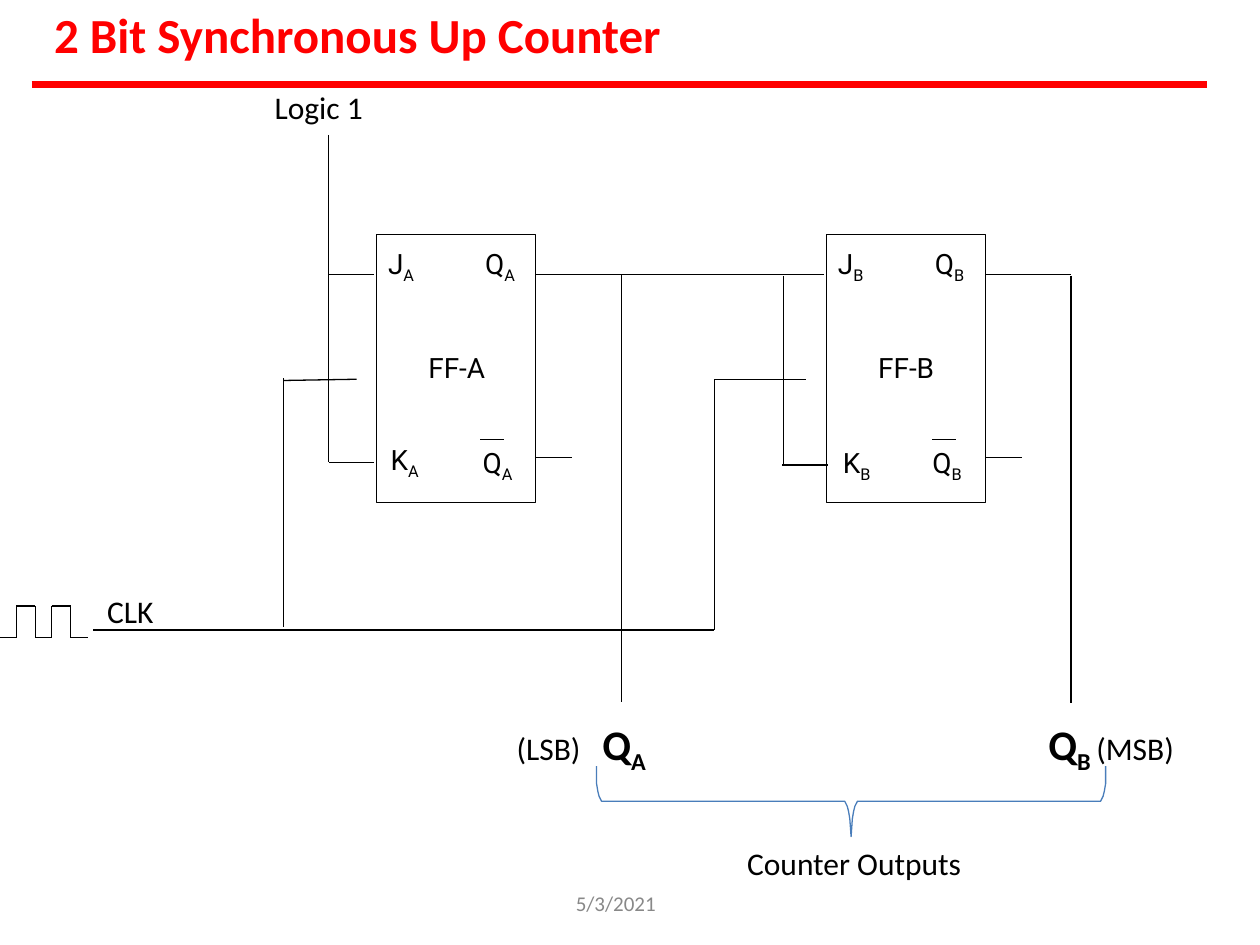
import pptx
import pptx.util
import pptx.dml.color
import pptx.enum.shapes
import pptx.oxml.ns
from lxml import etree

Inches = pptx.util.Inches
Pt = pptx.util.Pt
RGBColor = pptx.dml.color.RGBColor

RED = RGBColor(0xFF, 0x00, 0x00)
BLACK = RGBColor(0x00, 0x00, 0x00)
BLUE = RGBColor(0x49, 0x7D, 0xBA)
GREY = RGBColor(0x88, 0x88, 0x88)


def add_text(s, x, y, w, h, text, sub="", size=18, font="Calibri",
             color=BLACK, bold=False, indent=0.01, top=0.01):
    """Text box with an optional subscript; returns its paragraph."""
    box = s.shapes.add_textbox(Inches(x), Inches(y), Inches(w), Inches(h))
    tf = box.text_frame
    tf.word_wrap = True
    tf.margin_left, tf.margin_top = Inches(indent), Inches(top)
    tf.margin_right = tf.margin_bottom = 0
    p = tf.paragraphs[0]
    p.font.name, p.font.size = font, Pt(size)
    p.font.color.rgb = color
    r = p.add_run()
    r.text = text
    r.font.bold = bold
    if sub:
        r = p.add_run()
        r.text = sub
        r.font.bold = bold
        r._r.get_or_add_rPr().set("baseline", "-25000")
    return p


def add_pin(s, x, y, w, letter, sub, top=0.01):
    add_text(s, x, y, w, 0.3, letter, sub, 16, "Roboto", indent=0.03, top=top)


def add_line(s, x1, y1, x2, y2, color=BLACK, width=0.75):
    line = s.shapes.add_connector(
        pptx.enum.shapes.MSO_CONNECTOR.STRAIGHT,
        Inches(x1), Inches(y1), Inches(x2), Inches(y2))
    line.line.color.rgb = color
    line.line.width = Pt(width)
    etree.SubElement(line._element.spPr, pptx.oxml.ns.qn("a:effectLst"))


def add_flip_flop(s, x, name, k_x, k_y, bar_x):
    """Box with J, K, Q and inverted Q pins; x is its left side."""
    box = s.shapes.add_shape(
        pptx.enum.shapes.MSO_SHAPE.RECTANGLE,
        Inches(x), Inches(1.86), Inches(1.26), Inches(2.13))
    box.shadow.inherit = False
    box.fill.background()
    box.line.color.rgb = BLACK
    box.line.width = Pt(0.75)

    add_text(s, x + 0.41, 2.77, 0.46, 0.3, "FF-" + name,
             size=16, font="Roboto", indent=0)
    add_pin(s, x + 0.06, 1.95, 0.25, "J", name)
    add_pin(s, x + 0.83, 1.95, 0.31, "Q", name)
    add_pin(s, k_x, k_y, 0.29, "K", name)
    add_pin(s, x + 0.81, 3.52, 0.31, "Q", name, top=0.02)
    add_line(s, bar_x, 3.49, bar_x + 0.19, 3.49)

    # Output stubs
    add_line(s, x + 1.26, 2.18, x + 1.94, 2.18)
    add_line(s, x + 1.26, 3.63, x + 1.55, 3.63)


def add_clock_pulses(s):
    low, high = 5.06, 4.81
    xs = [0, 0.13, 0.28, 0.41, 0.56, 0.7]
    for i, (x1, x2) in enumerate(zip(xs, xs[1:])):
        y = high if i % 2 else low
        add_line(s, x1, y, x2, y)
        if i:
            add_line(s, x1, high, x1, low)


def add_brace(s):
    center = 6.755
    half = [(2.02, 6.08), (2.02, 6.22), (2.01, 6.28), (2, 6.32), (1.98, 6.36),
            (0.05, 6.36), (0.03, 6.4), (0.02, 6.44), (0.01, 6.5), (0, 6.64)]
    points = [(center + dx, y) for dx, y in half]
    points += [(center - dx, y) for dx, y in half[-2::-1]]
    points = [(Inches(x), Inches(y)) for x, y in points]
    builder = s.shapes.build_freeform(*points[0])
    builder.add_line_segments(points[1:], close=False)
    brace = builder.convert_to_shape()
    brace.shadow.inherit = False
    brace.fill.background()
    brace.line.color.rgb = BLUE
    brace.line.width = Pt(0.75)


def main():
    prs = pptx.Presentation()
    prs.slide_width, prs.slide_height = Inches(10), Inches(7.5)
    s = prs.slides.add_slide(prs.slide_layouts[6])

    # Title and rule
    add_text(s, 0.42, 0.03, 4.9, 0.5, "2 Bit Synchronous Up Counter",
             size=28, color=RED, bold=True)
    add_line(s, 0.25, 0.67, 9.58, 0.67, RED, 4)

    # Flip-flops
    add_flip_flop(s, 2.99, "A", k_x=3.07, k_y=3.5, bar_x=3.81)
    add_flip_flop(s, 6.56, "B", k_x=6.66, k_y=3.53, bar_x=7.4)

    # Wires
    wires = [
        (2.61, 1.07, 2.61, 3.67),  # logic 1 to J and K of A
        (2.61, 2.18, 2.97, 2.18),
        (2.61, 3.67, 2.97, 3.67),
        (4.92, 2.18, 6.54, 2.18),  # output A to J and K of B
        (6.22, 2.19, 6.22, 3.68),
        (6.21, 3.69, 6.57, 3.69),
        (4.93, 2.18, 4.93, 5.57),  # counter outputs
        (8.5, 2.19, 8.5, 5.58),
        (0.74, 5, 5.67, 5),        # clock
        (2.25, 3, 2.25, 4.98),
        (2.25, 3.02, 2.83, 3.01),
        (5.67, 3.02, 5.67, 5),
        (5.67, 3.01, 6.4, 3.01),
    ]
    for wire in wires:
        add_line(s, *wire)
    add_clock_pulses(s)

    # Input labels
    add_text(s, 2.17, 0.69, 0.73, 0.33, "Logic 1")
    add_text(s, 0.84, 4.69, 0.4, 0.33, "CLK")

    # Output labels
    add_text(s, 4.09, 5.78, 0.54, 0.33, "(LSB)")
    add_text(s, 4.74, 5.69, 0.45, 0.43, "Q", "A", 24, bold=True, indent=0.04)
    p = add_text(s, 8.28, 5.69, 1.18, 0.43, "Q", "B ", 24, bold=True,
                 indent=0.04)
    r = p.add_run()
    r.text = "(MSB)"
    r.font.size = Pt(18)
    add_brace(s)
    add_text(s, 5.92, 6.69, 1.73, 0.33, "Counter Outputs")

    # Date
    add_text(s, 4.56, 7.07, 0.88, 0.19, "5/3/2021", size=12, color=GREY, top=0)

    prs.save("out.pptx")


if __name__ == "__main__":
    main()
